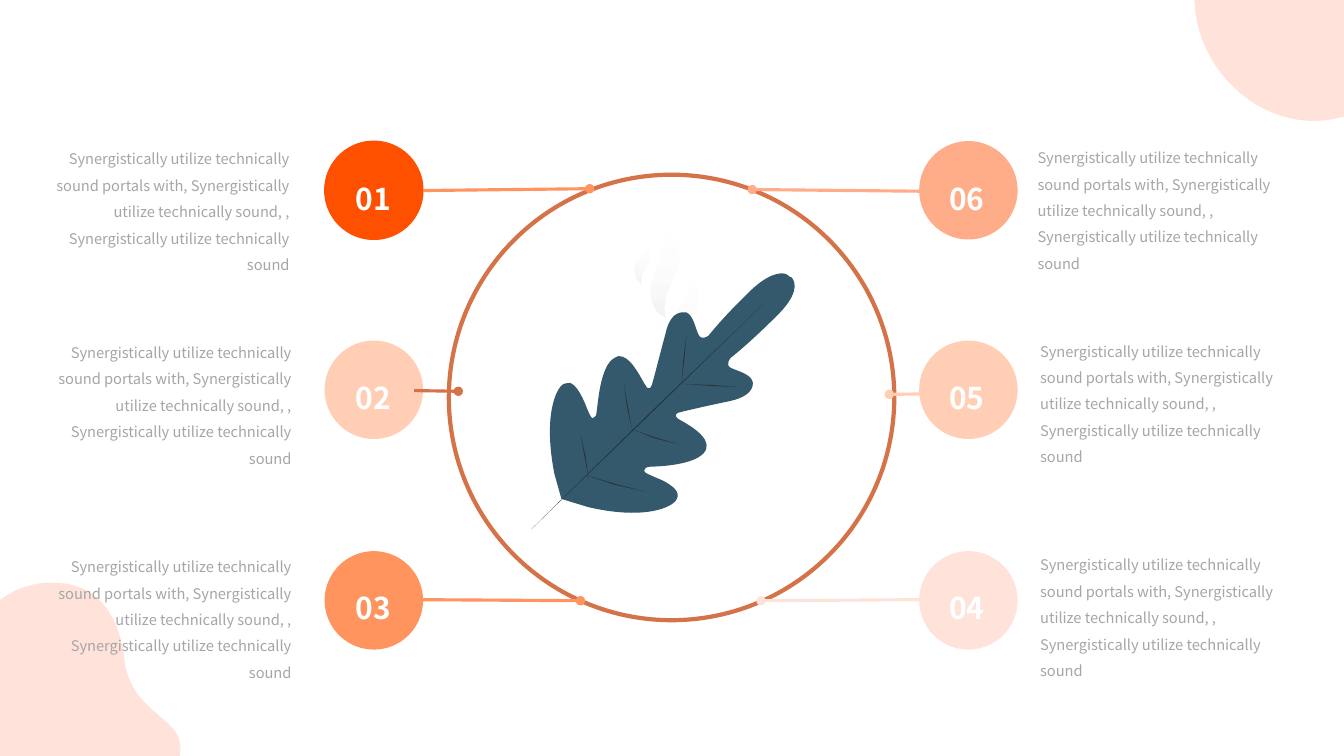
import math

import pptx
import pptx.util
import pptx.dml.color
import pptx.enum.shapes
import pptx.enum.text
import pptx.oxml.ns
from lxml import etree

Pt = pptx.util.Pt
RGBColor = pptx.dml.color.RGBColor
ALIGN = pptx.enum.text.PP_ALIGN
qn = pptx.oxml.ns.qn

WHITE = RGBColor(0xFF, 0xFF, 0xFF)
SMOKE_GREY = RGBColor(0xF4, 0xF4, 0xF5)
TEXT_GREY = RGBColor(0xA6, 0xA6, 0xA6)
RUST = RGBColor(0xD4, 0x72, 0x48)
VIVID = RGBColor(0xFF, 0x50, 0x00)
ORANGE = RGBColor(0xFF, 0x94, 0x5E)
APRICOT = RGBColor(0xFF, 0xAC, 0x88)
PEACH = RGBColor(0xFF, 0xCE, 0xB5)
BLUSH = RGBColor(0xFF, 0xE3, 0xDA)
LEAF_BLUE = RGBColor(0x34, 0x59, 0x6C)
VEIN_DARK = RGBColor(0x26, 0x32, 0x38)

FONT = "Noto Sans CJK SC"
DESCRIPTION = ("Synergistically utilize technically sound portals with, "
               "Synergistically utilize technically sound, , "
               "Synergistically utilize technically sound")

CIRCLE = 70.3
LEFT_X, RIGHT_X = 231.9, 656.6
NUMBER_LEFTS = {LEFT_X: 231.7, RIGHT_X: 655.5}
ROW_TOPS = (100.8, 243.3, 393.7)
NUMBER_TOPS = (115.9, 257.8, 407.8)

# number, row, circle left, circle colour, line colour, line ends,
# description left and top, alignment
ITEMS = [
    ("01", 0, LEFT_X, VIVID, ORANGE, (302.4, 136.1, 421.2, 134.8), (25.4, 100.9), ALIGN.RIGHT),
    ("02", 1, LEFT_X, PEACH, RUST, (295.9, 279, 327.4, 279.5), (26.8, 239.2), ALIGN.RIGHT),
    ("03", 2, LEFT_X, ORANGE, ORANGE, (293, 428.3, 414.6, 429.1), (26.8, 392.2), ALIGN.RIGHT),
    ("04", 2, RIGHT_X, BLUSH, BLUSH, (665.3, 428.3, 543.6, 429.1), (743, 391), ALIGN.LEFT),
    ("05", 1, RIGHT_X, PEACH, PEACH, (666.7, 281.3, 635.2, 281.7), (743, 238.3), ALIGN.LEFT),
    ("06", 0, RIGHT_X, APRICOT, APRICOT, (656.6, 136.6, 537.3, 135.4), (741.1, 100.1), ALIGN.LEFT),
]

# Outlines: a start point, then two numbers for a line or six for a curve,
# all in steps of GRID points.
GRID = 0.72
BLOB = [(1276, -109), (1274, -109, 1272, -109, 1270, -109), (1213, -105, 1175, -48, 1187, 19),
        (1198, 75, 1247, 120, 1304, 120), (1314, 120, 1325, 118, 1335, 115),
        (1404, 95, 1414, 54, 1394, 34), (1374, 14, 1351, 4, 1347, -36),
        (1342, -74, 1323, -109, 1276, -109)]
BLOB_SHIFTS = [(0, 0), (-1224, 687)]
SMOKE = [
    [(661, 315), (661, 315, 646, 311, 645, 290), (645, 270, 662, 246, 661, 229),
     (676, 236, 675, 263, 670, 272), (665, 281, 654, 303, 661, 315)],
    [(678, 345), (678, 345, 667, 330, 669, 315), (671, 301, 686, 291, 686, 272),
     (698, 298, 688, 313, 684, 318), (680, 323, 675, 335, 678, 345)],
    [(637, 282), (637, 282, 629, 275, 630, 266), (631, 258, 641, 251, 640, 240),
     (649, 253, 643, 263, 640, 266), (638, 270, 635, 277, 637, 282)],
]
LEAF = [
    (780, 272), (775, 270, 763, 271, 745, 288), (716, 316, 703, 333, 703, 333),
    (703, 333, 699, 336, 696, 335), (695, 335, 694, 334, 693, 332),
    (690, 326, 688, 313, 681, 310), (680, 310, 679, 310, 679, 310),
    (669, 309, 663, 318, 660, 332), (656, 347, 648, 378, 647, 381),
    (647, 383, 645, 386, 643, 385), (642, 385, 641, 384, 641, 383),
    (638, 380, 629, 358, 618, 354), (615, 353, 613, 353, 610, 355),
    (595, 362, 593, 404, 592, 408), (592, 413, 590, 414, 588, 415),
    (585, 414, 582, 403, 578, 395), (575, 389, 571, 382, 566, 380),
    (564, 380, 562, 380, 559, 381), (551, 386, 539, 414, 550, 470),
    (557, 495), (583, 503), (638, 516, 666, 504, 671, 496),
    (676, 488, 667, 482, 658, 477), (649, 473, 638, 469, 639, 467),
    (639, 465, 641, 463, 646, 463), (650, 463, 692, 462, 700, 447),
    (707, 432, 676, 418, 672, 415), (668, 412, 672, 409, 675, 409),
    (678, 408, 709, 401, 724, 398), (738, 395, 747, 389, 747, 380),
    (746, 371, 731, 368, 725, 365), (719, 362, 725, 355, 725, 355),
    (725, 355, 742, 342, 770, 314), (799, 286, 785, 275, 785, 275),
    (784, 275), (784, 275, 783, 274, 780, 272)]
# Start, middle and end of each vein
VEINS = [((759, 300), (642.5, 412.5), (527, 525)), ((681, 332), (678.5, 356), (676, 380)),
         ((734, 384), (706, 382.5), (678, 381)), ((674, 441), (650, 434.5), (627, 426)),
         ((619, 381), (622.5, 404), (627, 426)), ((641, 488), (610, 480.5), (580, 471)),
         ((576, 431), (580.5, 453), (584, 476))]
VEIN_WIDTH = 1


def add_outline(parent, outline, shift=(0, 0)):
    """Add a closed outline whose six-number segments become true curves."""
    points = [(Pt((segment[i] + shift[0]) * GRID), Pt((segment[i + 1] + shift[1]) * GRID))
              for segment in outline for i in range(0, len(segment), 2)]
    builder = parent.build_freeform(*points[0])
    builder.add_line_segments(points[1:], close=False)
    outlined = builder.convert_to_shape()
    drawn = outlined._element.find(".//" + qn("a:path"))
    steps = iter(drawn.findall(qn("a:lnTo")))
    for segment in outline[1:]:
        step = next(steps)
        if len(segment) == 6:
            curve = etree.Element(qn("a:cubicBezTo"))
            step.addprevious(curve)
            for control in (step, next(steps), next(steps)):
                curve.append(control[0])
                drawn.remove(control)
    etree.SubElement(drawn, qn("a:close"))
    outlined.shadow.inherit = False
    outlined.line.fill.background()
    return outlined


def vein_outline(start, middle, end):
    """Return a sliver that is widest in the middle of the vein."""
    length = math.dist(start, end)
    dx = (start[1] - end[1]) / length * VEIN_WIDTH / 2
    dy = (end[0] - start[0]) / length * VEIN_WIDTH / 2
    x, y = middle
    return [start, (x + dx, y + dy), end, (x - dx, y - dy)]


def fill_solid(shape, color):
    shape.fill.solid()
    shape.fill.fore_color.rgb = color


def add_ellipse(left, top, size):
    ellipse = shapes.add_shape(pptx.enum.shapes.MSO_SHAPE.OVAL, Pt(left), Pt(top), Pt(size), Pt(size))
    ellipse.shadow.inherit = False
    return ellipse


def add_pointer(ends, color):
    pointer = shapes.add_connector(pptx.enum.shapes.MSO_CONNECTOR.STRAIGHT, *(Pt(v) for v in ends))
    pointer.line.color.rgb = color
    pointer.line.width = Pt(2.25)
    etree.SubElement(pointer.line._get_or_add_ln(), qn("a:tailEnd"), type="oval")
    etree.SubElement(pointer._element.spPr, qn("a:effectLst"))


def add_text(text, box, inset, align, spacing, size, color, bold=False):
    label = shapes.add_textbox(*(Pt(v) for v in box))
    frame = label.text_frame
    frame.word_wrap = True
    frame.margin_left = frame.margin_right = frame.margin_top = frame.margin_bottom = Pt(inset)
    frame.text = text
    paragraph = frame.paragraphs[0]
    paragraph.alignment = align
    paragraph.line_spacing = spacing
    font = paragraph.runs[0].font
    font.name, font.size, font.bold = FONT, Pt(size), bold
    font.color.rgb = color
    return frame


deck = pptx.Presentation()
deck.slide_width, deck.slide_height = Pt(960), Pt(540)
shapes = deck.slides.add_slide(deck.slide_layouts[6]).shapes

for shift in BLOB_SHIFTS:
    fill_solid(add_outline(shapes, BLOB, shift), BLUSH)

ring = add_ellipse(320.6, 124.8, 318.2)
ring.fill.background()
ring.line.color.rgb = RUST
ring.line.width = Pt(3)

for outline in SMOKE:
    wisp = add_outline(shapes, outline)
    wisp.fill.gradient()
    wisp.fill.gradient_angle = 90
    for stop, color in zip(wisp.fill.gradient_stops, (SMOKE_GREY, WHITE)):
        stop.color.rgb = color
    top_color = wisp._element.spPr.findall(".//" + qn("a:srgbClr"))[-1]
    etree.SubElement(top_color, qn("a:alpha"), val="10000")

for number, row, left, color, line_color, ends, (text_left, text_top), align in ITEMS:
    circle = add_ellipse(left, ROW_TOPS[row], CIRCLE)
    fill_solid(circle, color)
    if number == "01":
        circle.line.color.rgb = color
        circle.line.width = Pt(0.75)
    else:
        circle.line.fill.background()
    add_pointer(ends, line_color)
    numeral = add_text(number, (NUMBER_LEFTS[left], NUMBER_TOPS[row], CIRCLE, 40.3), 9.4,
                       ALIGN.CENTER, 1.15, 21.4, WHITE, True)
    numeral.paragraphs[0].space_after = Pt(21.4)
    description = add_text(DESCRIPTION, (text_left, text_top, 181.4, 92.9), 0,
                           align, 1.5, 10.5, TEXT_GREY)
    description.auto_size = pptx.enum.text.MSO_AUTO_SIZE.SHAPE_TO_FIT_TEXT

leaf = shapes.add_group_shape().shapes
fill_solid(add_outline(leaf, LEAF), LEAF_BLUE)
for vein in VEINS:
    fill_solid(add_outline(leaf, vein_outline(*vein)), VEIN_DARK)

deck.save("out.pptx")
